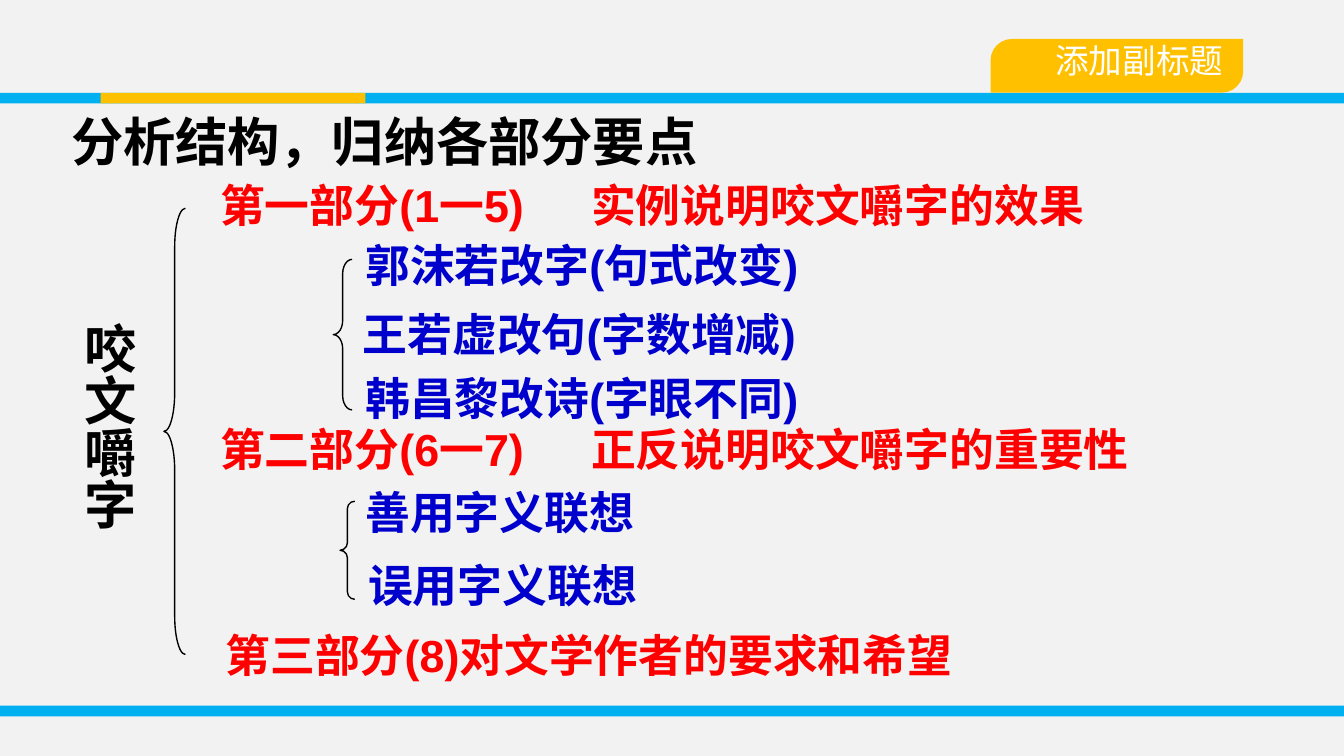
import pptx
import pptx.dml.color
import pptx.enum.shapes
import pptx.enum.text
import pptx.oxml
import pptx.util
from pptx.util import Inches

SHAPE = pptx.enum.shapes.MSO_SHAPE
ALIGN = pptx.enum.text.PP_ALIGN
BLACK, WHITE, RED, NAVY = "000000", "FFFFFF", "FF0000", "0000CC"
SKY, AMBER, PALE = "00B0F0", "FFC000", "F2F2F2"


def color(value):
    return pptx.dml.color.RGBColor.from_string(value)


def add_text(s, x, y, w, h, text, size=24, fill=BLACK, bold=True,
             align=ALIGN.LEFT, tab=None):
    tf = s.shapes.add_textbox(*map(Inches, (x, y, w, h))).text_frame
    tf.word_wrap = True
    p = tf.paragraphs[0]
    p.alignment = align
    if tab:
        stops = pptx.oxml.parse_xml(
            '<a:tabLst xmlns:a="http://schemas.openxmlformats.org/drawingml/2006/main">'
            f'<a:tab pos="{Inches(tab)}" algn="l"/></a:tabLst>')
        p._p.get_or_add_pPr().append(stops)
    r = p.add_run()
    r.text = text
    r.font.name = "Arial"
    r.font.size = pptx.util.Pt(size)
    r.font.bold = bold
    r.font.color.rgb = color(fill)
    return tf


def add_block(s, x, y, w, h, fill, kind=SHAPE.RECTANGLE):
    sp = s.shapes.add_shape(kind, *map(Inches, (x, y, w, h)))
    sp.shadow.inherit = False
    sp.fill.solid()
    sp.fill.fore_color.rgb = color(fill)
    sp.line.fill.background()
    return sp


def add_brace(s, x, y, w, h, curve):
    sp = s.shapes.add_shape(SHAPE.LEFT_BRACE, *map(Inches, (x, y, w, h)))
    sp.shadow.inherit = False
    sp.fill.background()
    sp.line.color.rgb = color(BLACK)
    sp.line.width = pptx.util.Pt(0.75)
    sp.adjustments[0] = curve
    sp.adjustments[1] = 0.5


def main():
    # Widescreen 16:9 slide
    prs = pptx.Presentation()
    prs.slide_width, prs.slide_height = Inches(10), Inches(10 * 9 / 16)
    s = prs.slides.add_slide(prs.slide_layouts[6])
    s.background.fill.solid()
    s.background.fill.fore_color.rgb = color(PALE)

    # Bars and subtitle tab
    for x, y, w, fill in ((0, 5.25, 10, SKY), (0, 0.69, 10, SKY),
                          (0.75, 0.69, 1.97, AMBER)):
        add_block(s, x, y, w, 0.08, fill)
    label = add_block(s, 7.37, 0.29, 1.88, 0.4, AMBER, SHAPE.ROUND_2_DIAG_RECTANGLE)
    label.adjustments[0] = 0.4
    add_text(s, 7.37, 0.25, 1.83, 0.4, "添加副标题", size=18, fill=WHITE,
             bold=False, align=ALIGN.RIGHT)

    # Title and vertical topic
    add_text(s, 0.43, 0.76, 5.35, 0.62, "分析结构，归纳各部分要点", size=28)
    topic = add_text(s, 0.42, 2.3, 0.67, 1.81, "咬文嚼字", size=28)
    topic._txBody.bodyPr.set("vert", "eaVert")

    # Braces
    for brace in ((1.22, 1.55, 0.16, 3.32, 1.8), (2.48, 1.93, 0.14, 1.12, 0.75),
                  (2.53, 3.73, 0.11, 0.73, 0.5)):
        add_brace(s, *brace)

    # Three parts
    for x, y, w, text in (
            (1.54, 1.27, 7.74, "第一部分(1一5)\t实例说明咬文嚼字的效果"),
            (1.54, 3.09, 7.09, "第二部分(6一7)\t正反说明咬文嚼字的重要性"),
            (1.58, 4.62, 6.1, "第三部分(8)对文学作者的要求和希望")):
        add_text(s, x, y, w, 0.5, text, fill=RED, tab=2.76 if "\t" in text else None)

    # Points under the parts
    for x, y, w, text in (
            (2.62, 1.72, 3.8, "郭沫若改字(句式改变)"),
            (2.6, 2.23, 4.25, "王若虚改句(字数增减)"),
            (2.62, 2.71, 4.17, "韩昌黎改诗(字眼不同)"),
            (2.62, 3.56, 2.63, "善用字义联想"),
            (2.64, 4.1, 2.6, "误用字义联想")):
        add_text(s, x, y, w, 0.5, text, fill=NAVY)

    prs.save("out.pptx")


if __name__ == "__main__":
    main()
